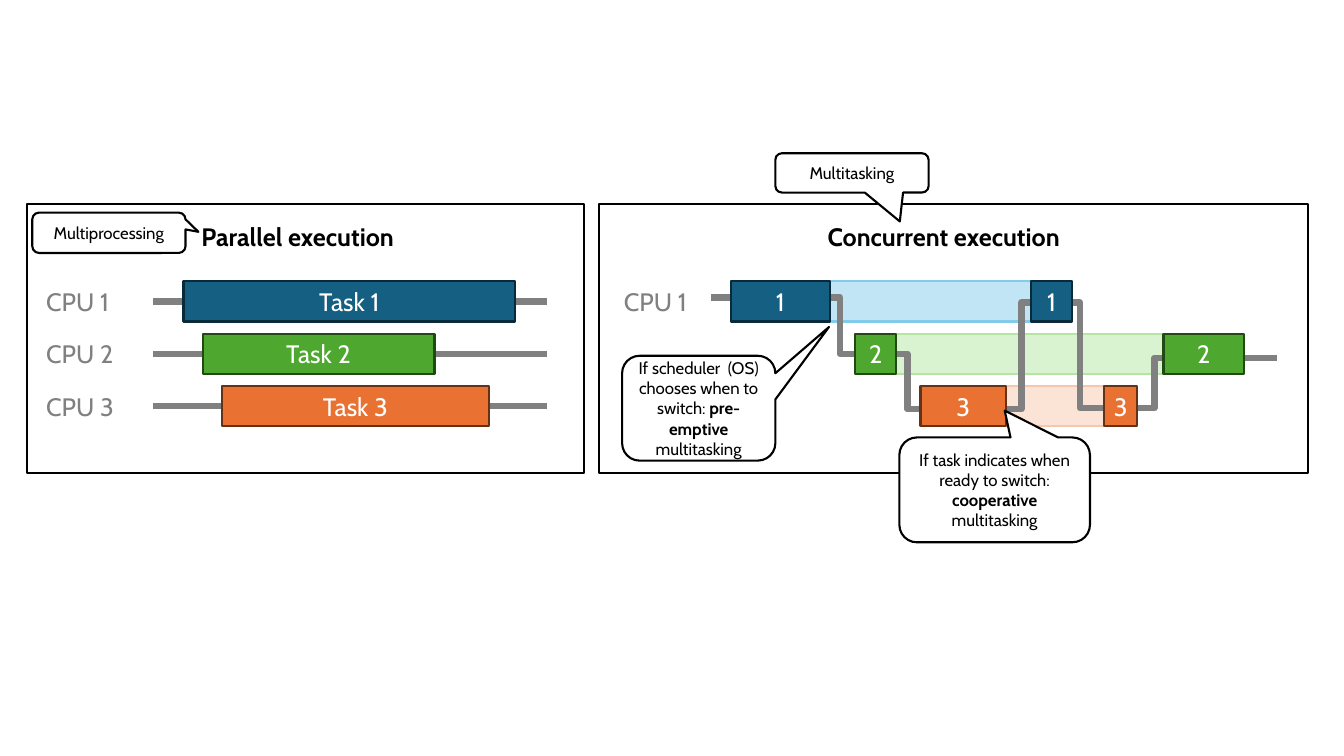
from lxml.etree import SubElement
from pptx import Presentation
from pptx.dml.color import RGBColor
from pptx.enum.shapes import MSO_CONNECTOR, MSO_SHAPE
from pptx.enum.text import MSO_ANCHOR, MSO_AUTO_SIZE, PP_ALIGN
from pptx.oxml.ns import qn
from pptx.util import Inches, Pt

FONT = "Cabin"
WHITE = RGBColor(0xFF, 0xFF, 0xFF)
BLACK = RGBColor(0x00, 0x00, 0x00)
GRAY = RGBColor(0x80, 0x80, 0x80)
# One entry per task: fill, edge, pale fill, pale edge
TASKS = [
    (RGBColor(0x15, 0x60, 0x82), RGBColor(0x09, 0x2A, 0x39),
     RGBColor(0xC1, 0xE5, 0xF5), RGBColor(0x83, 0xCB, 0xEB)),
    (RGBColor(0x4E, 0xA7, 0x2E), RGBColor(0x22, 0x49, 0x14),
     RGBColor(0xD9, 0xF2, 0xD0), RGBColor(0xB4, 0xE5, 0xA2)),
    (RGBColor(0xE9, 0x71, 0x32), RGBColor(0x66, 0x32, 0x16),
     RGBColor(0xFB, 0xE3, 0xD6), RGBColor(0xF6, 0xC6, 0xAD)),
]
BAR = 0.4
ROWS = [2.79 + 0.52 * row for row in range(3)]

deck = Presentation()
deck.slide_width, deck.slide_height = Inches(13.33), Inches(7.5)
slide = deck.slides.add_slide(deck.slide_layouts[6])
shapes = slide.shapes


def block(kind, place, fill, edge, runs=(), size=12, ink=BLACK):
    """Add a filled shape; runs holds pairs of text and bold."""
    item = shapes.add_shape(kind, *map(Inches, place))
    item.shadow.inherit = False
    item.fill.solid()
    item.fill.fore_color.rgb = fill
    item.line.color.rgb = edge
    item.line.width = Pt(1.5)
    frame = item.text_frame
    frame.vertical_anchor = MSO_ANCHOR.MIDDLE
    para = frame.paragraphs[0]
    para.alignment = PP_ALIGN.CENTER
    para.font.name, para.font.size = FONT, Pt(size)
    para.font.color.rgb = ink
    for text, bold in runs:
        run = para.add_run()
        run.text, run.font.bold = text, bold
    return item


def label(text, left, top, wide, ink, bold=False):
    box = shapes.add_textbox(*map(Inches, (left, top, wide, BAR)))
    frame = box.text_frame
    frame.word_wrap = False
    frame.auto_size = MSO_AUTO_SIZE.SHAPE_TO_FIT_TEXT
    para = frame.paragraphs[0]
    para.text = text
    para.font.name, para.font.size, para.font.bold = FONT, Pt(18), bold
    para.font.color.rgb = ink


# Panels and the pale bars of waiting tasks
for left, wide in [(0.27, 5.52), (5.94, 7.03)]:
    block(MSO_SHAPE.RECTANGLE, (left, 2.02, wide, 2.67), WHITE, BLACK)
waits = [(8.22, 2.02), (8.79, 2.75), (9.95, 1)]
for (left, wide), top, task in zip(waits, ROWS, TASKS):
    block(MSO_SHAPE.RECTANGLE, (left, top, wide, BAR), *task[2:])

# Path of the single CPU: run right to x at height y, then switch level
steps = [(8.33, 2.95), (9, 3.51), (10.13, 4.06),
         (10.71, 3), (11.45, 4.05), (12.67, 3.55)]
x, y = 7.05, 2.95
points = []
for right, level in steps:
    points += [(x, level), (right, level)]
    x = right
pen = shapes.build_freeform(Inches(7.05), Inches(y))
pen.add_line_segments([(Inches(a), Inches(b)) for a, b in points[1:]], close=False)
track = pen.convert_to_shape()
track.shadow.inherit = False
track.fill.background()
track.line.color.rgb = GRAY
track.line.width = Pt(4.5)

# Parallel side: one line per CPU
for top in ROWS:
    mid = Inches(top + BAR / 2)
    lane = shapes.add_connector(MSO_CONNECTOR.STRAIGHT, Inches(1.52), mid, Inches(5.43), mid)
    lane.line.color.rgb = GRAY
    lane.line.width = Pt(4.5)
    SubElement(lane._element.spPr, qn("a:effectLst"))

label("Parallel execution", 1.9, 2.15, 2.26, BLACK, True)
label("Concurrent execution", 8.11, 2.15, 2.7, BLACK, True)

# Running tasks: row, left, width, text
bars = [
    (0, 1.82, 3.29, "Task 1"), (1, 2.01, 2.3, "Task 2"), (2, 2.2, 2.65, "Task 3"),
    (0, 7.25, 0.98, "1"), (1, 8.48, 0.41, "2"), (2, 9.13, 0.85, "3"),
    (0, 10.23, 0.4, "1"), (2, 10.95, 0.33, "3"), (1, 11.54, 0.8, "2"),
]
for row, left, wide, text in bars:
    bar = block(MSO_SHAPE.RECTANGLE, (left, ROWS[row], wide, BAR),
                *TASKS[row][:2], [(text, False)], 18, WHITE)
    bar.text_frame.margin_left = bar.text_frame.margin_right = 0

for num, top in enumerate(ROWS, 1):
    label(f"CPU {num}", 0.36, top, 0.88, GRAY)
label("CPU 1", 6.09, ROWS[0], 0.95, GRAY)

# Callouts: place, tip, runs
notes = [
    ((6.17, 3.53, 1.52, 1.04), (0.85, -0.775),
     [("If scheduler  (OS) chooses when to switch: ", False),
      ("pre-emptive ", True), ("multitasking", False)]),
    ((0.32, 2.11, 1.52, 0.4), (0.584, -0.024), [("Multiprocessing", False)]),
    ((8.92, 4.34, 1.89, 1.04), (0.053, -0.756),
     [("If task indicates when ready to switch: ", False),
      ("cooperative", True), (" multitasking", False)]),
    ((7.69, 1.52, 1.52, 0.39), (0.312, 1.235), [("Multitasking", False)]),
]
for place, tip, runs in notes:
    note = block(MSO_SHAPE.ROUNDED_RECTANGULAR_CALLOUT, place, WHITE, BLACK, runs)
    note.adjustments[0], note.adjustments[1] = tip

deck.save("out.pptx")
